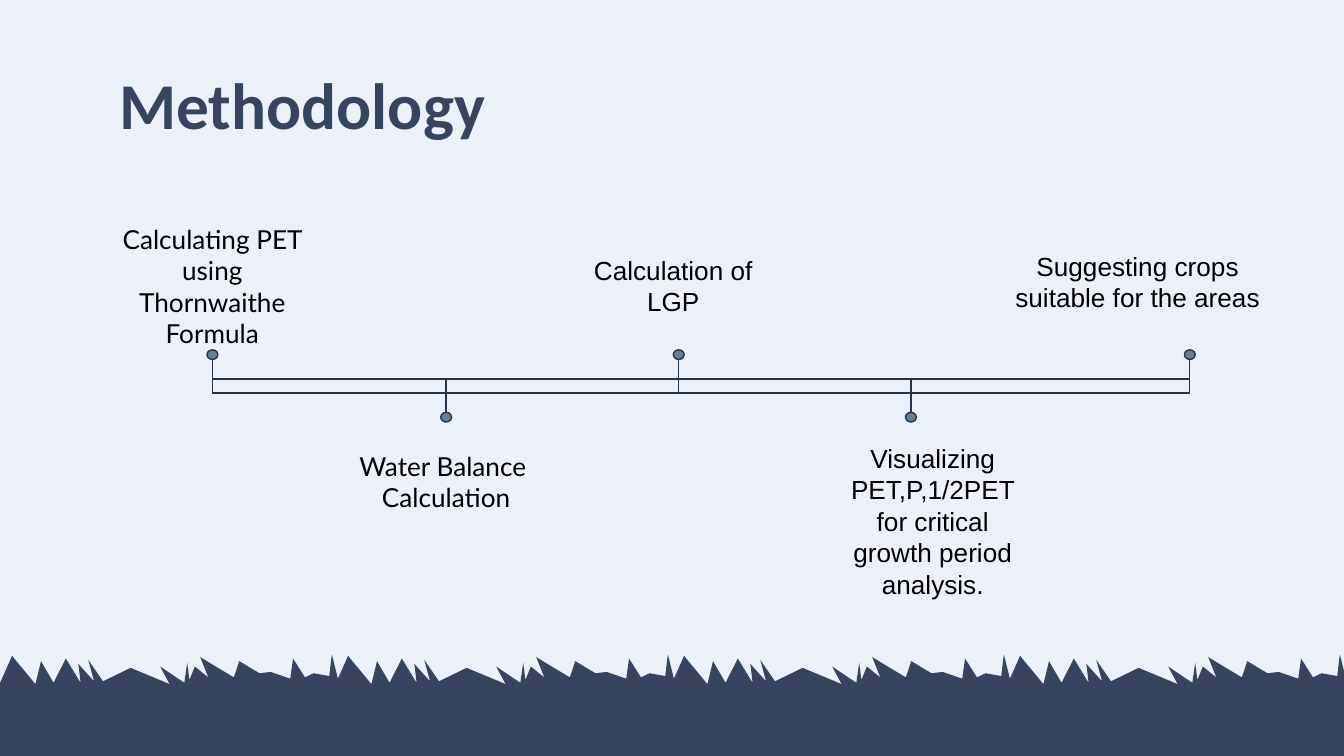
from dataclasses import dataclass
from itertools import pairwise

from lxml import etree
from pptx import Presentation
from pptx import util as u
from pptx.dml.color import RGBColor
from pptx.enum import shapes, text
from pptx.oxml.ns import qn


@dataclass(frozen=True)
class Theme:
    background: str = "ECF0F8"
    navy: str = "36445F"
    outline: str = "283347"
    dot: str = "667E92"
    black: str = "000000"
    title_size: float = 35
    label_size: float = 14
    label_leading: float = 16.9
    line_width: float = 0.75


class SlideBuilder:
    def __init__(self, slide, theme):
        self.slide = slide
        self.theme = theme
        fill = slide.background.fill
        fill.solid()
        fill.fore_color.rgb = RGBColor.from_string(theme.background)

    def style(self, shape, fill=None, line=None):
        shape.shadow.inherit = False
        if fill:
            shape.fill.solid()
            shape.fill.fore_color.rgb = RGBColor.from_string(fill)
        else:
            shape.fill.background()
        if line:
            self.stroke(shape.line, line)
        else:
            shape.line.fill.background()

    def stroke(self, line, color):
        line.color.rgb = RGBColor.from_string(color)
        line.width = u.Pt(self.theme.line_width)

    def preset(self, kind, box, fill=None, line=None):
        shape = self.slide.shapes.add_shape(kind, *map(u.Pt, box))
        self.style(shape, fill, line)

    def outline(self, points, fill):
        """Draw a closed, filled polygon through the points."""
        start, *rest = [(u.Pt(x), u.Pt(y)) for x, y in points]
        builder = self.slide.shapes.build_freeform(*start)
        builder.add_line_segments(rest, close=True)
        self.style(builder.convert_to_shape(), fill)

    def line(self, start, end, color):
        connector = self.slide.shapes.add_connector(
            shapes.MSO_CONNECTOR.STRAIGHT, *map(u.Pt, (*start, *end)))
        self.stroke(connector.line, color)
        etree.SubElement(connector._element.spPr, qn("a:effectLst"))

    def text_box(self, box, wording, font, size, color, bold=False):
        frame = self.slide.shapes.add_textbox(*map(u.Pt, box)).text_frame
        frame.word_wrap = True
        frame.text = wording
        for paragraph in frame.paragraphs:
            for run in paragraph.runs:
                run.font.name = font
                run.font.size = u.Pt(size)
                run.font.bold = bold
                run.font.color.rgb = RGBColor.from_string(color)
        return frame

    def title(self, box, wording):
        frame = self.text_box(box, wording, "Calibri", self.theme.title_size,
                              self.theme.navy, bold=True)
        frame.margin_left = frame.margin_right = u.Pt(7.2)
        frame.margin_top = frame.margin_bottom = u.Pt(7.2)

    def label(self, box, wording, font):
        frame = self.text_box(box, wording, font, self.theme.label_size,
                              self.theme.black)
        frame.auto_size = text.MSO_AUTO_SIZE.SHAPE_TO_FIT_TEXT
        for paragraph in frame.paragraphs:
            paragraph.alignment = text.PP_ALIGN.CENTER
            paragraph.line_spacing = u.Pt(self.theme.label_leading)


WIDTH, HEIGHT = 720, 405
GROUND_TOP = 368.6
GRASS_PITCH = WIDTH / 4
GRASS = [
    (181.4, 365), (177.8, 350.6), (176.4, 362.2), (168, 360.7),
    (163.4, 362.9), (157, 352.8), (155.5, 363.6), (145, 360),
    (139, 360.7), (128.2, 354.2), (125.3, 362.9), (107.3, 352.1),
    (111.6, 362.9), (104.4, 357.1), (101.5, 364.3), (100.3, 355),
    (98.8, 365.8), (85.8, 357.1), (90.9, 366.5), (70, 357.8),
    (55.2, 365), (47.3, 353.5), (50.4, 365), (42, 355.7),
    (43.2, 365.8), (35.3, 352.8), (28.7, 365.8), (22, 354.2),
    (19, 366.5), (6.5, 351.4), (-2.2, 370.8), (182.2, 370.8),
]

BAR_TOP, BAR_HEIGHT = 203, 7.5
STEM_REACH = 13
DOT_WIDTH, DOT_HEIGHT = 5.8, 5.2

# Timeline x, label box, wording, font; steps alternate above and below the bar.
STEPS = [
    (113.8, (54, 115.9, 119.5, 74.9),
     "Calculating PET using Thornwaithe Formula", "Lato"),
    (239, (182.9, 237.6, 112.3, 41), "Water Balance \nCalculation", "Lato"),
    (363.6, (295.9, 132.5, 129.6, 41), "Calculation of LGP", "Arial"),
    (488, (446.4, 233.3, 106.6, 92.2),
     "Visualizing PET,P,1/2PET for critical growth period analysis.", "Arial"),
    (637.4, (522.7, 130.3, 173.5, 41),
     "Suggesting crops suitable for the areas", "Arial"),
]


def draw_ground(page):
    navy = page.theme.navy
    page.preset(shapes.MSO_SHAPE.RECTANGLE,
                (0, GROUND_TOP, WIDTH, HEIGHT - GROUND_TOP), navy)
    for tile in range(4):
        page.outline([(x + tile * GRASS_PITCH, y) for x, y in GRASS], navy)


def draw_timeline(page):
    theme = page.theme
    bar_bottom = BAR_TOP + BAR_HEIGHT
    for (left, *_), (right, *_) in pairwise(STEPS):
        page.preset(shapes.MSO_SHAPE.RECTANGLE,
                    (left, BAR_TOP, right - left, BAR_HEIGHT),
                    line=theme.outline)
    for index, (x, box, wording, font) in enumerate(STEPS):
        if index % 2 == 0:
            tip, foot = BAR_TOP - STEM_REACH, bar_bottom
        else:
            tip, foot = bar_bottom + STEM_REACH, BAR_TOP
        page.line((x, tip), (x, foot), theme.outline)
        page.preset(shapes.MSO_SHAPE.OVAL,
                    (x - DOT_WIDTH / 2, tip - DOT_HEIGHT / 2,
                     DOT_WIDTH, DOT_HEIGHT),
                    theme.dot, theme.outline)
        page.label(box, wording, font)


def main():
    deck = Presentation()
    deck.slide_width, deck.slide_height = u.Pt(WIDTH), u.Pt(HEIGHT)
    page = SlideBuilder(deck.slides.add_slide(deck.slide_layouts[6]), Theme())
    draw_ground(page)
    page.title((56.9, 27.4, 607, 50.4), "Methodology")
    draw_timeline(page)
    deck.save("out.pptx")


if __name__ == "__main__":
    main()
